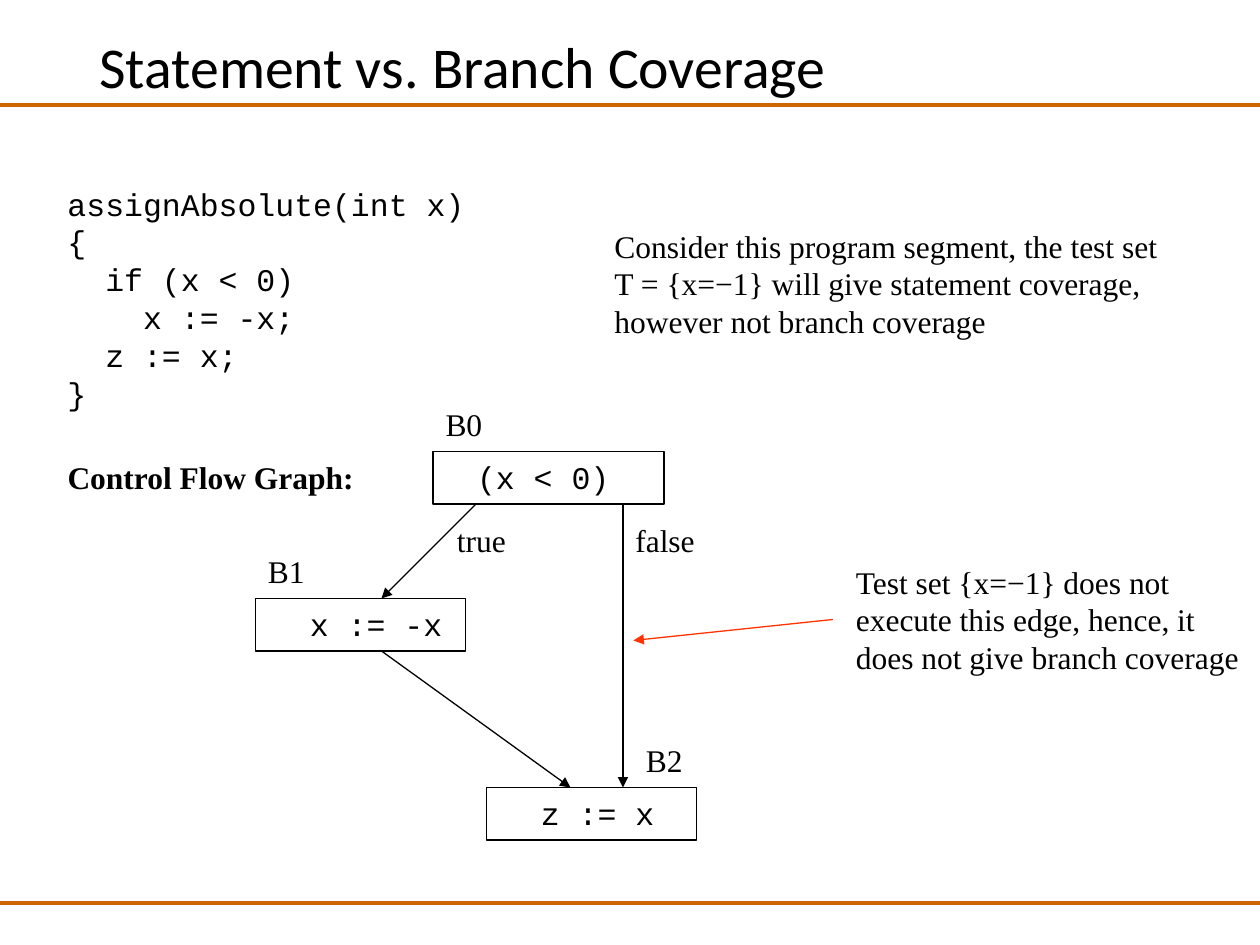
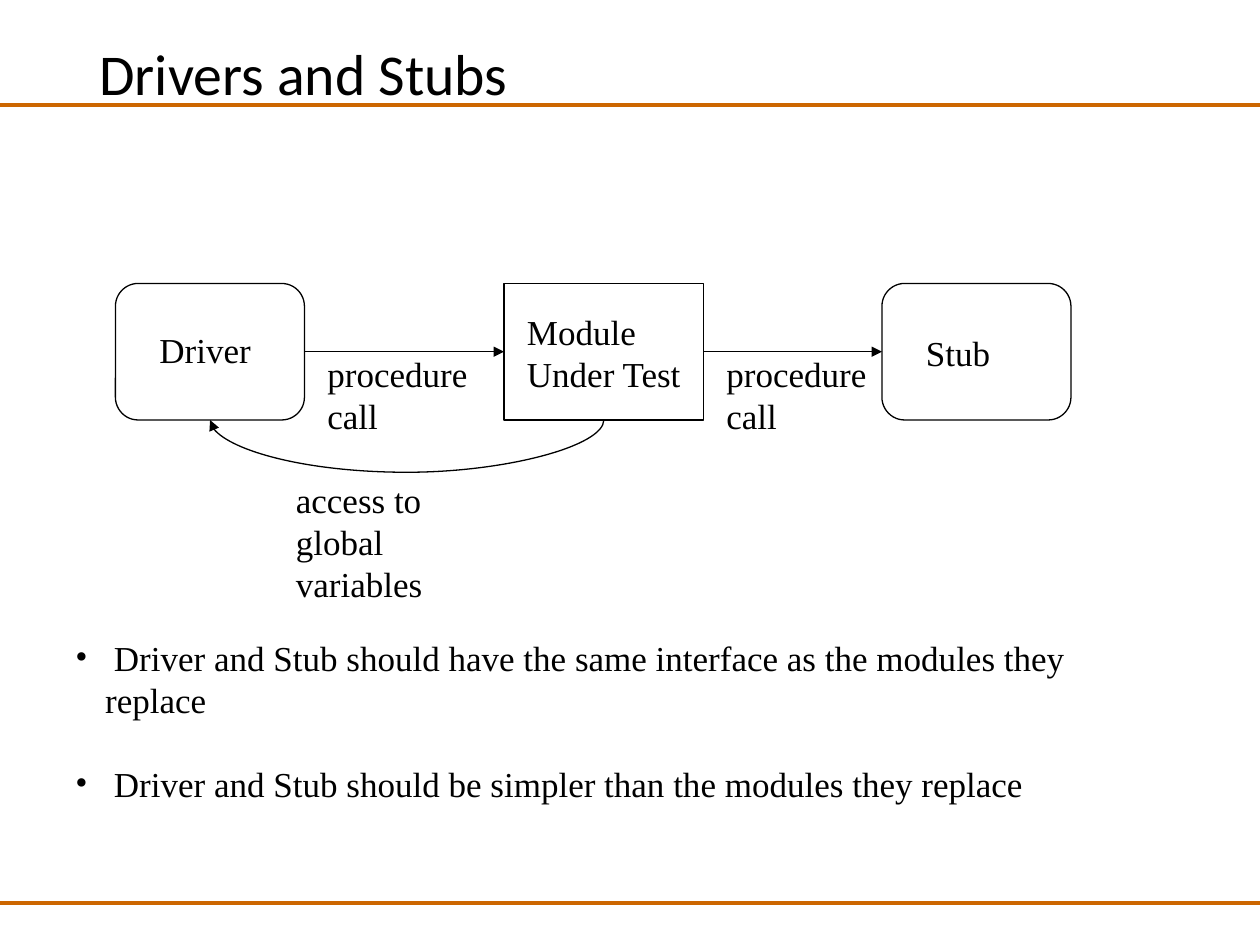
"""Build two slides on statement and branch coverage, drivers and stubs."""
from lxml import etree
from pptx import Presentation
from pptx.dml.color import RGBColor
from pptx.enum.shapes import MSO_CONNECTOR as CONN, MSO_SHAPE as SHAPE
from pptx.enum.text import MSO_ANCHOR as ANCHOR, MSO_AUTO_SIZE as AUTO
from pptx.oxml.ns import qn
from pptx.util import Pt

BLACK = RGBColor(0x00, 0x00, 0x00)
ORANGE = RGBColor(0xCC, 0x66, 0x00)
RED = RGBColor(0xFF, 0x33, 0x00)
SERIF, MONO, SANS = "Times New Roman", "Courier New", "Calibri"


def add_text(s, text, x, y, w, h, size=18, font=SERIF, bold=False, wrap=False,
             spacing=None, anchor=ANCHOR.TOP, auto=AUTO.SHAPE_TO_FIT_TEXT,
             bullet=None, gap=0):
    tb = s.shapes.add_textbox(Pt(x), Pt(y), Pt(w), Pt(h))
    tf = tb.text_frame
    tf.word_wrap, tf.auto_size, tf.vertical_anchor = wrap, auto, anchor
    for i, line in enumerate(text.split("\n")):
        p = tf.add_paragraph() if i else tf.paragraphs[0]
        p.line_spacing = spacing or Pt(1.2 * size)
        if i and gap:
            p.space_before = Pt(gap)
        if bullet:
            pPr = p._p.get_or_add_pPr()
            pPr.set("marL", str(Pt(17)))
            pPr.set("indent", str(-Pt(17)))
            etree.SubElement(pPr, qn("a:buFont")).set("typeface", SERIF)
            etree.SubElement(pPr, qn("a:buChar")).set("char", bullet)
        r = p.add_run()
        r.text = line
        r.font.name, r.font.size, r.font.bold = font, Pt(size), bold
        r.font.color.rgb = BLACK
    return tb


def add_line(s, x1, y1, x2, y2, color=BLACK, width=0.75, arrow=True, kind=CONN.STRAIGHT):
    c = s.shapes.add_connector(kind, Pt(x1), Pt(y1), Pt(x2), Pt(y2))
    c.line.color.rgb, c.line.width = color, Pt(width)
    if arrow:
        etree.SubElement(c.line._get_or_add_ln(), qn("a:tailEnd")).set("type", "triangle")
    etree.SubElement(c._element.spPr, qn("a:effectLst"))
    return c


prs = Presentation()
prs.slide_width, prs.slide_height = Pt(720), Pt(540)

slides = []
for title, top in [("Statement vs. Branch Coverage", -12.2), ("Drivers and Stubs", -8.6)]:
    s = prs.slides.add_slide(prs.slide_layouts[6])
    for y in (60, 516):
        add_line(s, 0, y, 720, y, ORANGE, 2, arrow=False)
    add_text(s, title, 49.7, top, 620.6, 104.4, size=33, font=SANS, wrap=True,
             spacing=0.9, anchor=ANCHOR.MIDDLE, auto=AUTO.NONE)
    slides.append(s)
coverage, stubs = slides

code = """assignAbsolute(int x)
{
  if (x < 0)
    x := -x;
  z := x;
}"""
add_text(coverage, code, 31.5, 102, 360, 136.8, font=MONO, wrap=True)
add_text(coverage, "Consider this program segment, the test set\n"
         "T = {x=−1} will give statement coverage,\n"
         "however not branch coverage", 344, 126, 324.7, 72)
add_text(coverage, "Control Flow Graph:", 31.5, 258, 178.6, 28.8, bold=True)

blocks = [
    ("B0", 247.5, 258, 132, "(x < 0)", 265.5, 90, 247.5),
    ("B1", 146, 342, 120, "x := -x", 170, 90, 146),
    ("B2", 278, 450, 120, "z := x", 302, 79.2, 362),
]
for name, x, y, w, statement, text_x, text_w, name_x in blocks:
    box = coverage.shapes.add_shape(SHAPE.RECTANGLE, Pt(x), Pt(y), Pt(w), Pt(30))
    box.shadow.inherit = False
    box.fill.background()
    box.line.color.rgb, box.line.width = BLACK, Pt(0.75)
    add_text(coverage, statement, text_x, y, text_w, 28.8, font=MONO)
    add_text(coverage, name, name_x, y - 30, 35.3, 28.8)

for edge in [(272, 288, 218, 342), (218, 372, 326, 450), (356, 288, 356, 450)]:
    add_line(coverage, *edge)
add_text(coverage, "true", 254, 294, 42.5, 28.8)
add_text(coverage, "false", 356, 294, 48.2, 28.8)
add_line(coverage, 476, 354, 362, 366, RED)
add_text(coverage, "Test set {x=−1} does not\nexecute this edge, hence, it\n"
         "does not give branch coverage", 482, 318, 237.6, 93.6)

parts = [
    ("Driver", SHAPE.ROUNDED_RECTANGLE, 66, 108, 84, 184, 67, 31, False),
    ("Module\nUnder Test", SHAPE.RECTANGLE, 288, 114, 294, 174, 103.7, 55.4, False),
    ("Stub", SHAPE.ROUNDED_RECTANGLE, 504, 108, 522, 186, 66.2, 31, True),
]
boxes = []
for label, kind, x, w, text_x, text_y, text_w, text_h, wrap in parts:
    box = stubs.shapes.add_shape(kind, Pt(x), Pt(162), Pt(w), Pt(78))
    box.shadow.inherit = False
    box.fill.background()
    box.line.color.rgb, box.line.width = BLACK, Pt(0.75)
    add_text(stubs, label, text_x, text_y, text_w, text_h, size=20, wrap=wrap)
    boxes.append(box)

driver, module, stub = boxes
for source, target, label_x in [(driver, module, 180), (module, stub, 408)]:
    call = add_line(stubs, 0, 0, 1, 1)
    call.begin_connect(source, 3)
    call.end_connect(target, 1)
    add_text(stubs, "procedure\ncall", label_x, 198, 94.3, 55.4, size=20)

access = add_line(stubs, 345, 240, 120, 240, kind=CONN.CURVE)
access.begin_connect(module, 2)
access.end_connect(driver, 2)
xfrm = access._element.spPr.find(qn("a:xfrm"))
xfrm.attrib.clear()
xfrm.set("rot", "5400000")
access.left, access.top, access.width, access.height = Pt(232.5), Pt(127.5), Pt(0.12), Pt(225)
guides = access._element.spPr.find(qn("a:prstGeom")).find(qn("a:avLst"))
bulge = etree.SubElement(guides, qn("a:gd"))
bulge.set("name", "adj1")
bulge.set("fmla", "val 26400000")
add_text(stubs, "access to global\nvariables", 162, 270, 141, 55.4, size=20)

add_text(stubs, " Driver and Stub should have the same interface as the modules they replace\n"
         " Driver and Stub should be simpler than the modules they replace",
         36, 360, 632, 79.2, size=20, wrap=True, bullet="•", gap=24)

prs.save("out.pptx")
